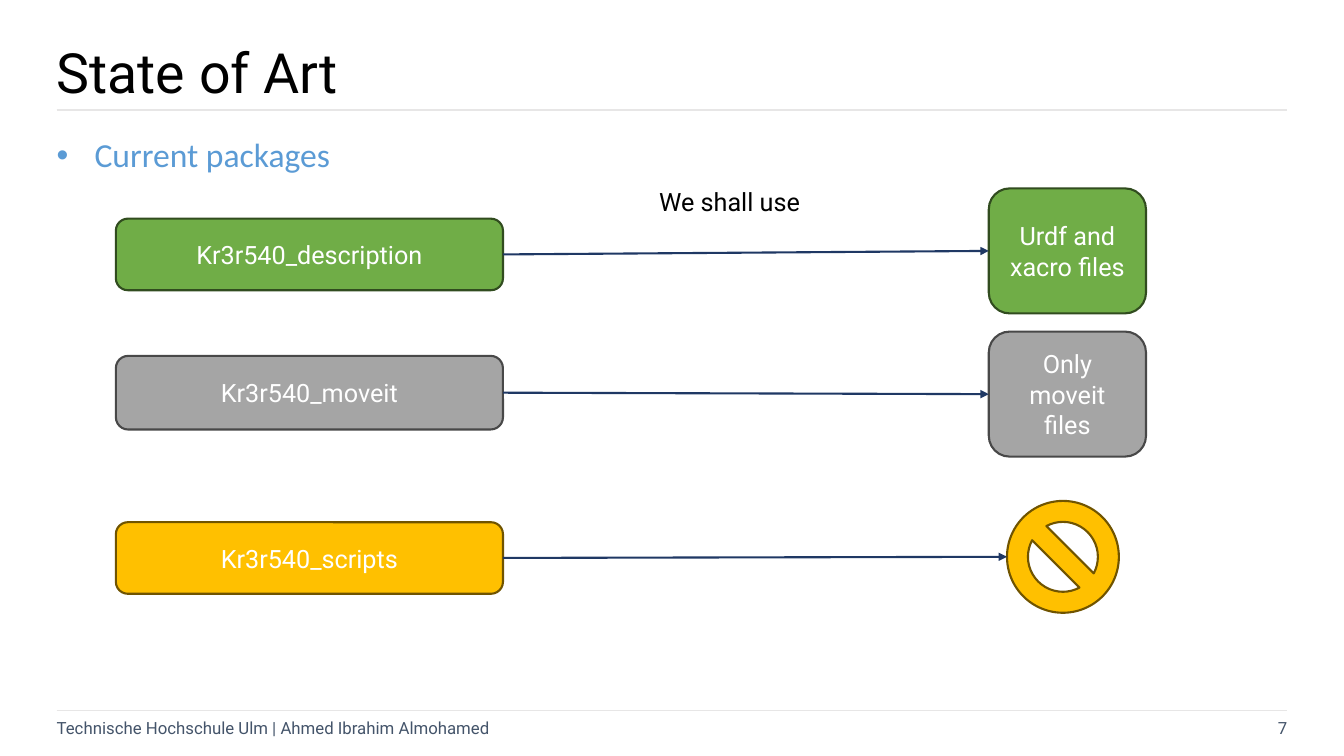
"""Build the slide that shows which robot packages are reused."""
from dataclasses import dataclass

from lxml import etree
from pptx import Presentation
from pptx import util as u
from pptx.dml.color import RGBColor
from pptx.enum import shapes, text
from pptx.oxml import ns

Kind, Align, Anchor = shapes.MSO_SHAPE, text.PP_ALIGN, text.MSO_ANCHOR


@dataclass(frozen=True)
class Theme:
    font: str = "Roboto"
    subtitle_font: str = "Calibri"
    black: str = "000000"
    white: str = "FFFFFF"
    subtitle: str = "5B9BD5"
    footer: str = "44546A"
    rule: str = "E7E6E6"
    arrow: str = "1F3864"
    green: tuple = ("70AD47", "314C1F")
    grey: tuple = ("A5A5A5", "484848")
    yellow: tuple = ("FFC000", "705400")
    title_size: float = 39.6
    subtitle_size: float = 24
    label_size: float = 18
    footer_size: float = 12
    outline: float = 1.5
    hairline: float = 1


THEME = Theme()
TITLE = "State of Art"
SUBTITLE = "Current packages"
ARROW_LABEL = "We shall use "
FOOTER = "Technische Hochschule Ulm | Ahmed Ibrahim Almohamed"
PAGE = "7"

PACKAGES = [
    {"name": "Kr3r540_description", "top": 156.2, "height": 51.1, "colors": THEME.green,
     "result": "Urdf and xacro files", "kind": Kind.ROUNDED_RECTANGLE,
     "box": (706.3, 134.6, 112.3, 89.3)},
    {"name": "Kr3r540_moveit", "top": 254.2, "height": 52.6, "colors": THEME.grey,
     "result": "Only moveit files", "kind": Kind.ROUNDED_RECTANGLE,
     "box": (706.3, 236.9, 112.3, 89.3)},
    {"name": "Kr3r540_scripts", "top": 373, "height": 51.1, "colors": THEME.yellow,
     "result": "", "kind": Kind.NO_SYMBOL, "box": (719.3, 357.8, 79.9, 79.9)},
]

PACKAGE_LEFT, PACKAGE_WIDTH = 82.8, 276.5
MARGIN_LEFT, MARGIN_RIGHT = 40.5, 919.5
RULES = (78.5, 507.6)


def points(values):
    return [u.Pt(value) for value in values]


def write(shape, words, *, size=THEME.label_size, color=THEME.black, font=THEME.font,
          align=Align.LEFT, anchor=Anchor.MIDDLE, insets=(7.2, 3.6, 7.2, 3.6),
          spacing=None):
    frame = shape.text_frame
    frame.text = words
    frame.word_wrap = True
    frame.auto_size = text.MSO_AUTO_SIZE.NONE
    frame.vertical_anchor = anchor
    (frame.margin_left, frame.margin_top,
     frame.margin_right, frame.margin_bottom) = points(insets)
    paragraph = frame.paragraphs[0]
    paragraph.alignment = align
    paragraph.space_before = u.Pt(0)
    paragraph.line_spacing = spacing
    paragraph.font.size = u.Pt(size)
    paragraph.font.name = font
    paragraph.font.color.rgb = RGBColor.from_string(color)


def fill_placeholder(placeholder, box, words, **style):
    placeholder.left, placeholder.top, placeholder.width, placeholder.height = points(box)
    properties = placeholder.text_frame.paragraphs[0]._p.get_or_add_pPr()
    properties.set("marL", "0")
    properties.set("indent", "0")
    etree.SubElement(properties, ns.qn("a:buNone"))
    write(placeholder, words, insets=(0, 3.6, 7.2, 3.6), spacing=0.9, **style)


def add_text(slide, box, words, **style):
    write(slide.shapes.add_textbox(*points(box)), words, **style)


def add_block(slide, kind, box, colors, words):
    shape = slide.shapes.add_shape(kind, *points(box))
    shape.shadow.inherit = False
    fill, line = map(RGBColor.from_string, colors)
    shape.fill.solid()
    shape.fill.fore_color.rgb = fill
    shape.line.color.rgb = line
    shape.line.width = u.Pt(THEME.outline)
    if words:
        write(shape, words, color=THEME.white, align=Align.CENTER)
    return shape


def add_line(slide, start, end, color, width):
    line = slide.shapes.add_connector(shapes.MSO_CONNECTOR.STRAIGHT, *points(start + end))
    line.line.color.rgb = RGBColor.from_string(color)
    line.line.width = u.Pt(width)
    etree.SubElement(line._element.spPr, ns.qn("a:effectLst"))
    return line


def add_package(slide, package):
    top, height = package["top"], package["height"]
    left, result_top, _, result_height = package["box"]
    source = add_block(slide, Kind.ROUNDED_RECTANGLE,
                       (PACKAGE_LEFT, top, PACKAGE_WIDTH, height),
                       package["colors"], package["name"])
    result = add_block(slide, package["kind"], package["box"],
                       package["colors"], package["result"])
    arrow = add_line(slide, (PACKAGE_LEFT + PACKAGE_WIDTH, top + height / 2),
                     (left, result_top + result_height / 2), THEME.arrow, THEME.outline)
    arrow.begin_connect(source, 3)
    if package["kind"] == Kind.ROUNDED_RECTANGLE:
        arrow.end_connect(result, 1)
    etree.SubElement(arrow.line._get_or_add_ln(), ns.qn("a:tailEnd"), type="triangle")


def main():
    presentation = Presentation()
    presentation.slide_width, presentation.slide_height = points((960, 540))
    slide = presentation.slides.add_slide(presentation.slide_layouts[1])
    title, body = slide.placeholders
    for y in RULES:
        add_line(slide, (MARGIN_LEFT, y), (MARGIN_RIGHT, y), THEME.rule, THEME.hairline)
    fill_placeholder(title, (MARGIN_LEFT, 34.6, 799.2, 38.9), TITLE, size=THEME.title_size)
    fill_placeholder(body, (MARGIN_LEFT, 89.3, 878.4, 45.4), SUBTITLE,
                     size=THEME.subtitle_size, font=THEME.subtitle_font,
                     color=THEME.subtitle)
    footer_style = {"size": THEME.footer_size, "color": THEME.footer, "insets": (0, 0, 0, 0)}
    add_text(slide, (MARGIN_LEFT, 514.1, 758.9, 12.2), FOOTER, **footer_style)
    add_text(slide, (838.1, 514.1, 81.4, 12.2), PAGE, align=Align.RIGHT, **footer_style)
    for package in PACKAGES:
        add_package(slide, package)
    add_text(slide, (440.6, 129.6, 165.6, 28.8), ARROW_LABEL,
             align=Align.CENTER, anchor=Anchor.TOP)
    presentation.save("out.pptx")


if __name__ == "__main__":
    main()
